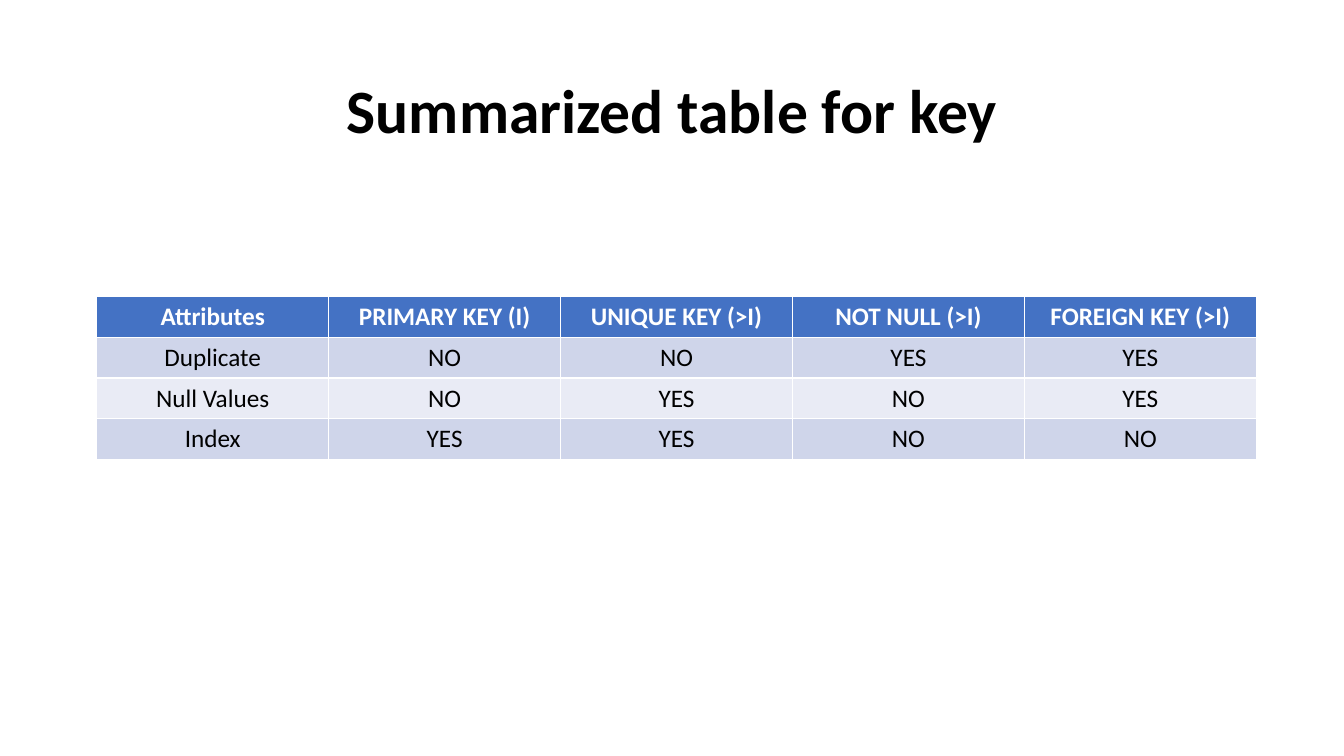
from pptx import Presentation
from pptx import util as u
from pptx.dml.color import RGBColor
from pptx.enum import text


def tint(code):
    return RGBColor.from_string(code)


def write(frame, words, size=18, color="000000", bold=False, line=1.0):
    para = frame.paragraphs[0]
    para.alignment = text.PP_ALIGN.CENTER
    para.line_spacing = line
    run = para.add_run()
    run.text = words
    run.font.name = "Calibri"
    run.font.size = u.Pt(size)
    run.font.bold = bold
    run.font.color.rgb = tint(color)


deck = Presentation()
deck.slide_width = u.Inches(13.33)
deck.slide_height = u.Inches(7.5)
slide = deck.slides.add_slide(deck.slide_layouts[6])

title = slide.shapes.add_textbox(
    u.Inches(0.92), u.Inches(0.4), u.Inches(11.5), u.Inches(1.45)).text_frame
title.word_wrap = True
title.vertical_anchor = text.MSO_ANCHOR.MIDDLE
write(title, "Summarized table for key", size=44, bold=True, line=0.9)

rows = [
    ["Attributes", "PRIMARY KEY (I)", "UNIQUE KEY (>I)", "NOT NULL (>I)", "FOREIGN KEY (>I)"],
    ["Duplicate", "NO", "NO", "YES", "YES"],
    ["Null Values", "NO", "YES", "NO", "YES"],
    ["Index", "YES", "YES", "NO", "NO"],
]
fills = ["4472C4", "CFD5EA", "E9EBF5", "CFD5EA"]

# The default table style draws the white borders and the thicker header rule.
table = slide.shapes.add_table(
    len(rows), len(rows[0]),
    u.Inches(0.96), u.Inches(2.94), u.Inches(11.5), u.Inches(1.62)).table
for r, (row, fill) in enumerate(zip(rows, fills)):
    head = r == 0
    for c, words in enumerate(row):
        cell = table.cell(r, c)
        cell.fill.solid()
        cell.fill.fore_color.rgb = tint(fill)
        write(cell.text_frame, words, bold=head, color="FFFFFF" if head else "000000")

deck.save("out.pptx")
